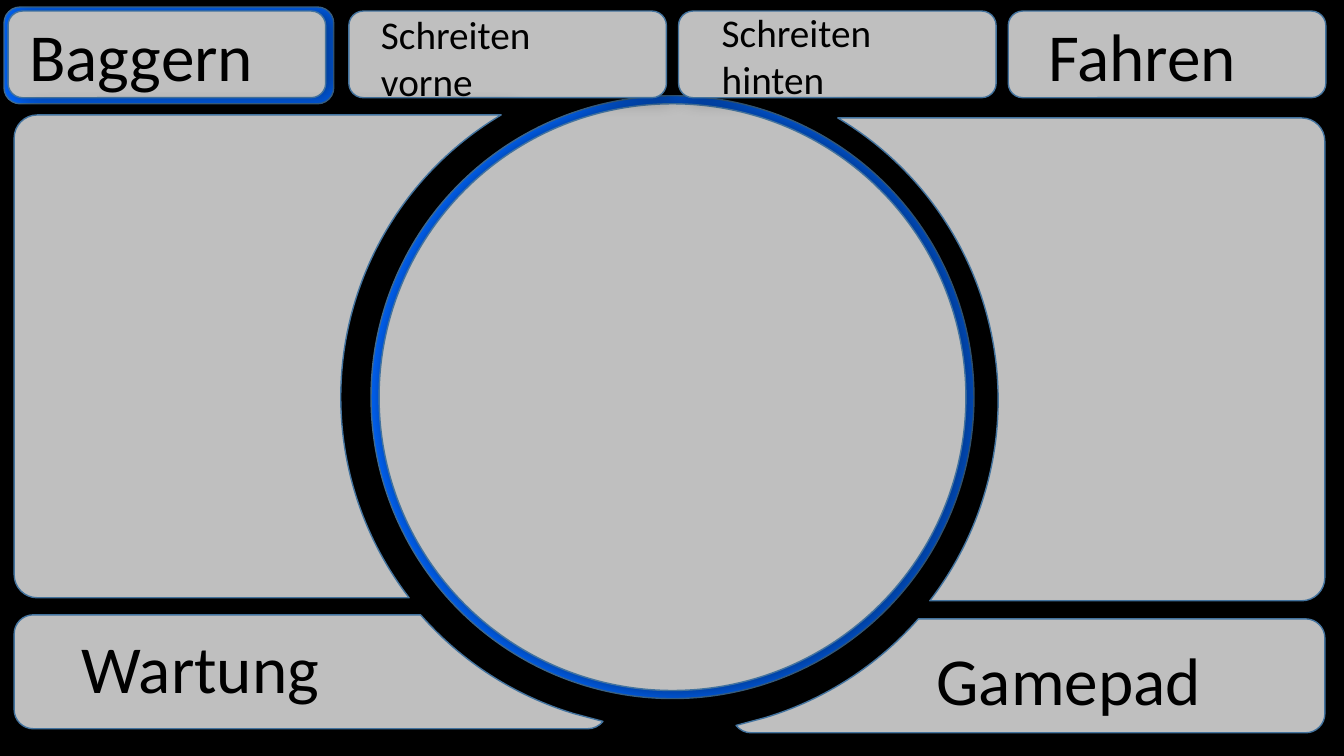
from math import asin, cos, degrees, radians, sin, tan

from lxml.etree import Element, SubElement
from pptx import Presentation
from pptx.dml.color import RGBColor
from pptx.enum.shapes import MSO_SHAPE as SHAPE
from pptx.enum.text import MSO_AUTO_SIZE as AUTO_SIZE
from pptx.oxml.ns import qn
from pptx.util import Inches, Pt

COLORS = {"black": "000000", "blue": "0066FF", "gray": "BFBFBF", "outline": "43739E"}
FONT = "Calibri"
SLIDE_WIDTH, SLIDE_HEIGHT = 13.33, 7.5
CENTER_X, CENTER_Y = 6.64, 3.94
MIRROR_AXIS = 6.64


def add_shadow(shape):
    effects = shape._element.spPr.find(qn("a:effectLst"))
    shadow = SubElement(effects, qn("a:outerShdw"), blurRad=str(Pt(14)), dist=str(Pt(5)),
                        dir="0", sx="102000", sy="102000", algn="ctr", rotWithShape="0")
    color = SubElement(shadow, qn("a:srgbClr"), val=COLORS["black"])
    SubElement(color, qn("a:alpha"), val="40000")


def style_shape(shape, fill, line="outline", shadow=False):
    shape.shadow.inherit = False
    shape.fill.solid()
    shape.fill.fore_color.rgb = RGBColor.from_string(COLORS[fill])
    shape.line.color.rgb = RGBColor.from_string(COLORS[line])
    shape.line.width = Pt(1)
    if shadow:
        add_shadow(shape)


def add_box(slide, kind, box, fill, line="outline", shadow=False):
    shape = slide.shapes.add_shape(kind, *map(Inches, box))
    style_shape(shape, fill, line, shadow)


def add_label(slide, left, top, text, size):
    height = 1.04 if "\n" in text else 0.91
    label = slide.shapes.add_textbox(*map(Inches, (left, top, 3.62, height)))
    frame = label.text_frame
    frame.word_wrap = True
    frame.auto_size = AUTO_SIZE.SHAPE_TO_FIT_TEXT
    frame.text = text
    for paragraph in frame.paragraphs:
        for run in paragraph.runs:
            run.font.name = FONT
            run.font.size = Pt(size)
            run.font.color.rgb = RGBColor.from_string(COLORS["black"])


def arc(center_x, center_y, radius, start, end, curves=1):
    step = radians(end - start) / curves
    pull = 4 / 3 * tan(step / 4)

    def place(angle, shift):
        return (center_x + radius * (cos(angle) - shift * sin(angle)),
                center_y + radius * (sin(angle) + shift * cos(angle)))

    points = [place(radians(start), 0)]
    for index in range(curves):
        first = radians(start) + index * step
        last = first + step
        points += [place(first, pull), place(last, -pull), place(last, 0)]
    return points


def bend_segments(shape, arcs):
    outline = shape._element.find(".//" + qn("a:path"))
    vertices = iter(list(outline))
    for points in arcs:
        next(vertices)
        for _ in range(len(points) // 3):
            controls = [next(vertices) for _ in range(3)]
            curve = Element(qn("a:cubicBezTo"))
            controls[0].addprevious(curve)
            for control in controls:
                curve.append(control[0])
                outline.remove(control)


def add_panel(slide, left, top, bottom, corner, radius, cut_bottom, curves,
              tip_x=None, mirror=False, drop=0):
    start, end = (180 - degrees(asin((y - CENTER_Y) / radius)) for y in (top, cut_bottom))
    arcs = [arc(CENTER_X, CENTER_Y, radius, start, end, curves)]
    if tip_x:
        arcs.append(arc(tip_x - 0.14, bottom - corner, corner, 38, 90))
    arcs.append(arc(left + corner, bottom - corner, corner, 90, 180))
    arcs.append(arc(left + corner, top + corner, corner, 180, 270))
    points = [(2 * MIRROR_AXIS - x if mirror else x, y) for part in arcs for x, y in part]
    points = [(Inches(x), Inches(y + drop)) for x, y in points]
    builder = slide.shapes.build_freeform(*points[0])
    builder.add_line_segments(points[1:], close=True)
    shape = builder.convert_to_shape()
    bend_segments(shape, arcs)
    style_shape(shape, "gray", shadow=True)


def add_dial(slide, center_x, center_y, diameter):
    for size, fill in ((diameter, "blue"), (diameter - 0.16, "gray")):
        box = (center_x - size / 2, center_y - size / 2, size, size)
        add_box(slide, SHAPE.OVAL, box, fill, shadow=fill == "gray")


def add_mode_bar(slide, top):
    for left in (0.08, 3.46, 6.73, 10):
        add_box(slide, SHAPE.ROUNDED_RECTANGLE, (left, top, 3.15, 0.86), "gray", shadow=True)


def add_side_panels(slide, left):
    for mirror in (False, True):
        add_panel(slide, left, 1.14, 5.93, 0.23, 3.26, 5.93, 2,
                  mirror=mirror, drop=0.03 * mirror)
    for mirror in (False, True):
        add_panel(slide, left, 6.1, 7.23, 0.19, 3.28, 7.08, 1,
                  tip_x=5.97, mirror=mirror, drop=0.04 * mirror)


def add_labels(slide):
    for left, top, text, size in (
        (0.71, 6.16, "Wartung", 48),
        (0.19, 0.09, "Baggern", 48),
        (3.68, 0.05, "Schreiten\nvorne", 28),
        (7.06, 0.03, "Schreiten\nhinten", 28),
        (10.3, 0.09, "Fahren", 48),
        (9.19, 6.28, "Gamepad", 48),
    ):
        add_label(slide, left, top, text, size)


def main():
    presentation = Presentation()
    presentation.slide_width = Inches(SLIDE_WIDTH)
    presentation.slide_height = Inches(SLIDE_HEIGHT)
    slide = presentation.slides.add_slide(presentation.slide_layouts[6])
    add_box(slide, SHAPE.RECTANGLE, (0, 0, SLIDE_WIDTH, SLIDE_HEIGHT), "black", "black")
    add_box(slide, SHAPE.ROUNDED_RECTANGLE, (0.04, 0.07, 3.27, 0.96), "blue")
    add_dial(slide, 6.67, 3.94, 5.98)
    add_mode_bar(slide, 0.11)
    add_side_panels(slide, 0.14)
    add_labels(slide)
    presentation.save("out.pptx")


if __name__ == "__main__":
    main()
